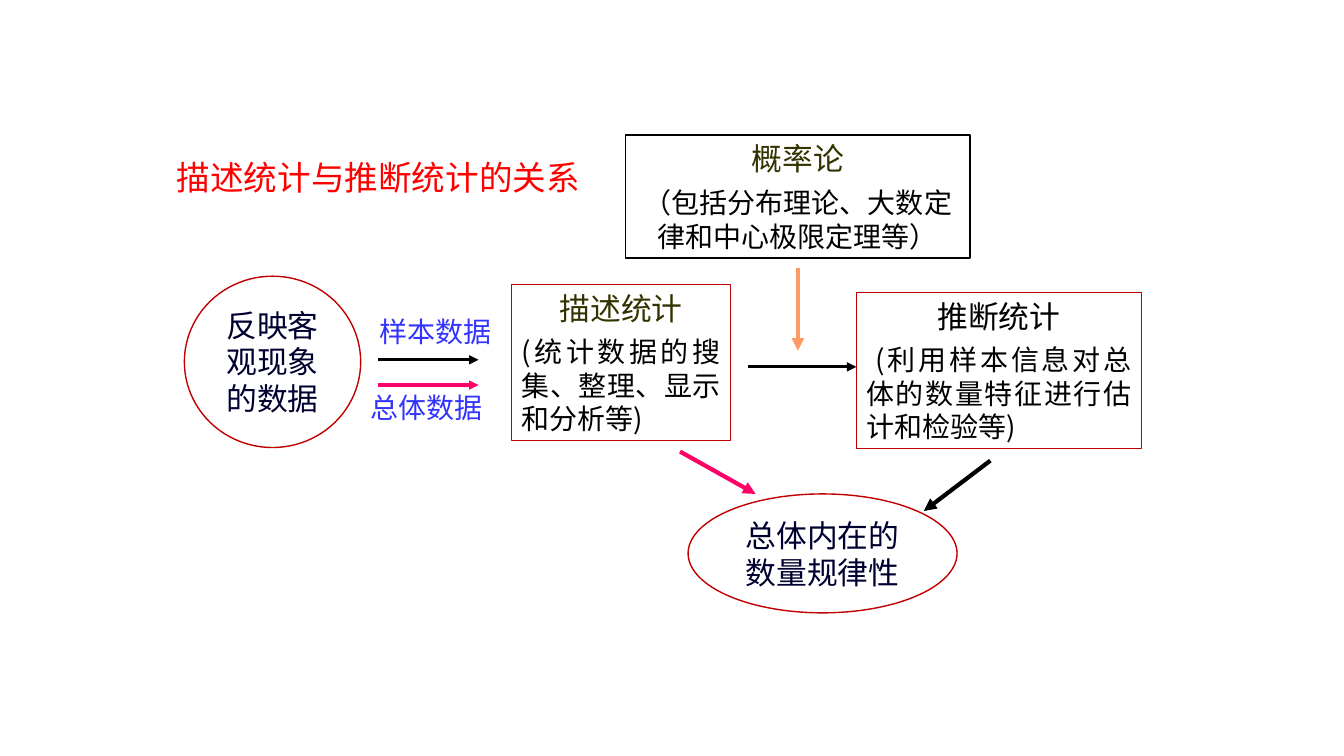
"""Build a slide showing how descriptive and inferential statistics relate."""
from lxml.etree import SubElement
from pptx import Presentation
from pptx.dml.color import RGBColor
from pptx.enum.shapes import MSO_CONNECTOR, MSO_SHAPE
from pptx.enum.text import MSO_ANCHOR, PP_ALIGN
from pptx.oxml.ns import qn
from pptx.util import Pt

PX = 9144
FONT = "Noto Sans CJK SC"
RED, BLACK, PINK, NAVY, OLIVE = "C00000", "000000", "FF0066", "000030", "333300"
CENTER, JUSTIFY, LEFT = PP_ALIGN.CENTER, PP_ALIGN.JUSTIFY, PP_ALIGN.LEFT


def rgb(color):
    """Turn a hex string into a colour."""
    return RGBColor.from_string(color)


def write(sp, paragraphs, anchor=MSO_ANCHOR.TOP):
    """Fill a shape with (text, size, colour, alignment) paragraphs."""
    tf = sp.text_frame
    tf.word_wrap = True
    tf.vertical_anchor = anchor
    tf.margin_left = tf.margin_right = 10 * PX
    tf.margin_top = tf.margin_bottom = 5 * PX
    for i, (text, size, color, align) in enumerate(paragraphs):
        p = tf.add_paragraph() if i else tf.paragraphs[0]
        p.text = text
        p.alignment = align
        p.space_before = Pt(6 if i else 0)
        p.font.size = Pt(size)
        p.font.color.rgb = rgb(color)
        p.font.name = FONT
        SubElement(p._p.pPr.find(qn("a:defRPr")), qn("a:ea"), typeface=FONT)


prs = Presentation()
prs.slide_width, prs.slide_height = 1334 * PX, 750 * PX
s = prs.slides.add_slide(prs.slide_layouts[5])

title = s.shapes.title
title.left, title.top, title.width, title.height = 117 * PX, 108 * PX, 517 * PX, 135 * PX
write(title, [("描述统计与推断统计的关系", 24, "FF0000", CENTER)], MSO_ANCHOR.MIDDLE)

nodes = [
    (MSO_SHAPE.OVAL, (183, 274, 175, 170), RED,
     [("反映客观现象的数据", 22, NAVY, CENTER)]),
    (MSO_SHAPE.OVAL, (683, 490, 267, 118), RED,
     [("总体内在的数量规律性", 22, NAVY, CENTER)]),
    (MSO_SHAPE.RECTANGLE, (850, 290, 283, 155), RED,
     [("推断统计", 22, BLACK, CENTER),
      (" (利用样本信息对总体的数量特征进行估计和检验等)", 20, BLACK, JUSTIFY)]),
    (MSO_SHAPE.RECTANGLE, (621, 134, 342, 122), BLACK,
     [("概率论", 22, OLIVE, CENTER),
      ("（包括分布理论、大数定律和中心极限定理等）", 20, BLACK, CENTER)]),
    (MSO_SHAPE.RECTANGLE, (508, 282, 217, 155), RED,
     [("描述统计", 22, OLIVE, CENTER),
      ("(统计数据的搜集、整理、显示和分析等)", 20, BLACK, JUSTIFY)]),
]
for kind, box, color, paragraphs in nodes:
    sp = s.shapes.add_shape(kind, *(v * PX for v in box))
    sp.shadow.inherit = False
    sp.fill.background()
    sp.line.color.rgb = rgb(color)
    sp.line.width = Pt(1)
    write(sp, paragraphs)

arrows = [
    ((675, 448, 750, 490), PINK, 3),
    ((742, 364, 850, 364), BLACK, 2.25),
    ((983, 457, 917, 507), BLACK, 3),
    ((792, 266, 792, 348), "FF9966", 3),
    ((375, 382, 475, 382), PINK, 2.25),
    ((375, 357, 475, 357), BLACK, 2.25),
]
for ends, color, width in arrows:
    arrow = s.shapes.add_connector(MSO_CONNECTOR.STRAIGHT, *(v * PX for v in ends))
    arrow.line.color.rgb = rgb(color)
    arrow.line.width = Pt(width)
    SubElement(arrow.line._get_or_add_ln(), qn("a:tailEnd"), type="triangle")
    SubElement(arrow._element.spPr, qn("a:effectLst"))

for text, left, top in [("总体数据", 358, 382), ("样本数据", 367, 307)]:
    label = s.shapes.add_textbox(left * PX, top * PX, 142 * PX, 44 * PX)
    write(label, [(text, 20, "3333FF", LEFT)])

prs.save("out.pptx")
